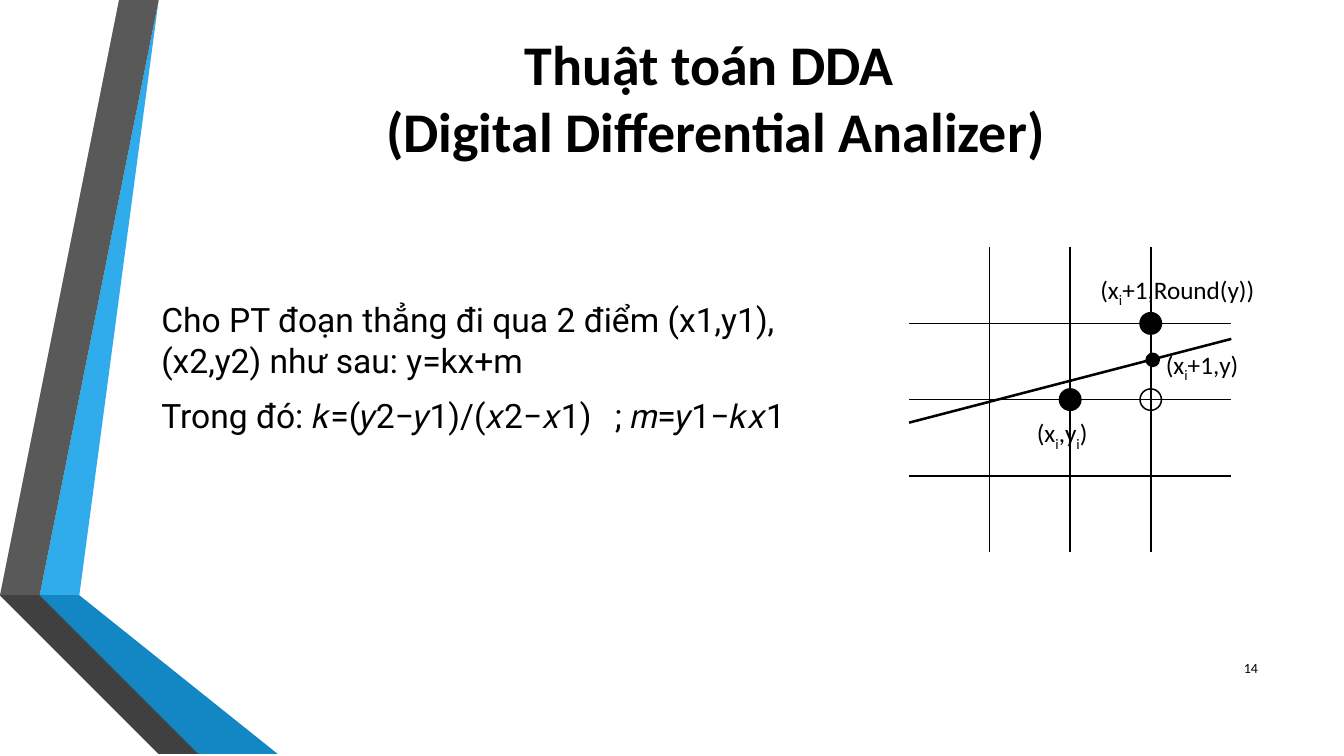
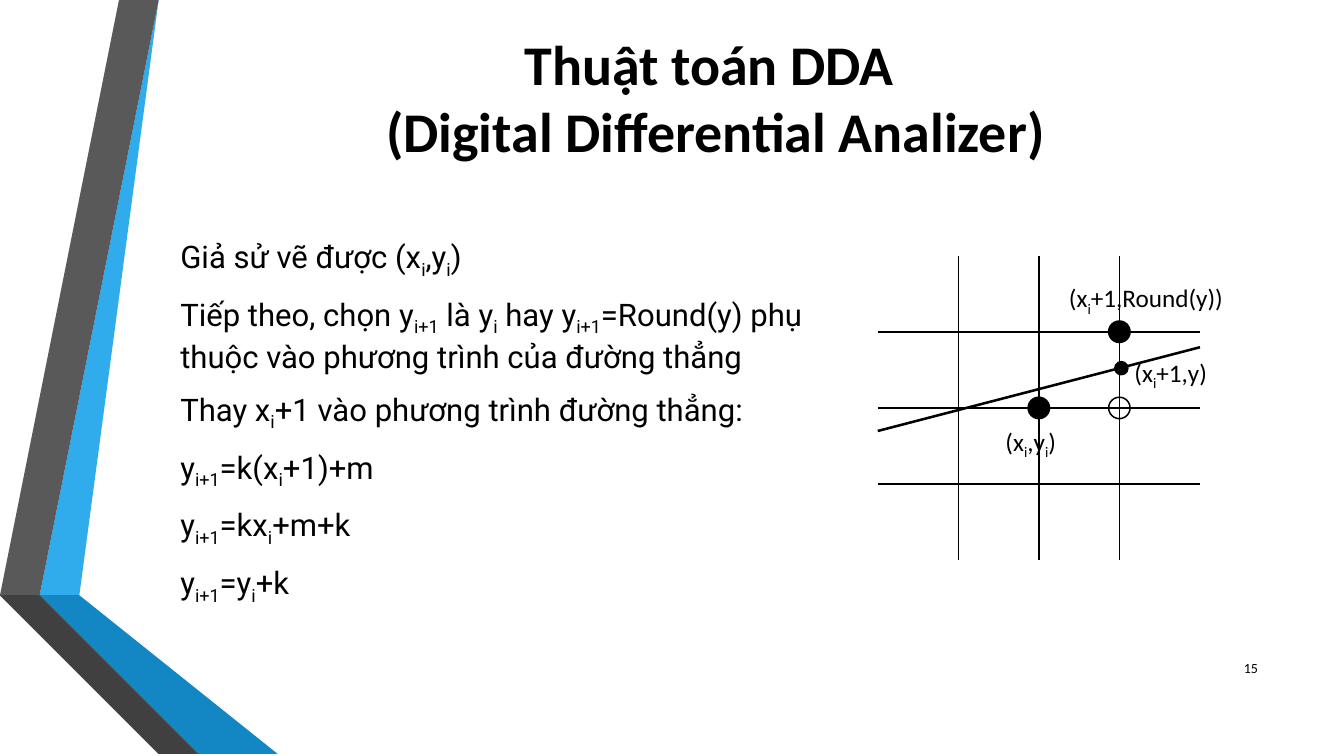
from lxml import etree
from pptx import Presentation
from pptx import util as u
from pptx.dml.color import RGBColor
from pptx.enum import shapes, text
from pptx.oxml.ns import qn

BLACK = "000000"
TITLE = "Thuật toán DDA \v(Digital Differential Analizer)"
FIRST_NUMBER = 14

# Ribbon outlines in centimetres, from back to front
RIBBON = [
    ("30ACEC", [(1.27, 14.68), (1.96, 14.81), (4.39, 0), (3.68, 0)]),
    ("595959", [(3.53, 0), (2.82, 0), (0.41, 14.55), (1.12, 14.66)]),
    ("262626", [(0.41, 14.55), (3.68, 19.05), (3.84, 19.05)]),
    ("0C5A82", [(1.27, 14.71), (5.28, 19.05), (5.44, 19.05)]),
    ("1287C3", [(1.27, 14.71), (5.44, 19.05), (7.19, 19.05), (1.96, 14.81), (1.27, 14.68)]),
    ("404040", [(5.13, 19.05), (1.22, 14.81), (1.1, 14.67), (0.41, 14.55), (3.84, 19.05)]),
]

# Subscripts stand between bars
SLIDES = [
    {
        "body": (3.81, 7.41, 24, [
            "Cho PT đoạn thẳng đi qua 2 điểm (x1,y1), (x2,y2) như sau: y=kx+m",
            "Trong đó:\t𝑘=(𝑦2−𝑦1)/(𝑥2−𝑥1)\t; 𝑚=𝑦1−𝑘𝑥1",
        ]),
        "tabs": (3.81, 11.26),
        "grid": (22.91, 6.23),
    },
    {
        "body": (4.29, 5.85, 22.2, [
            "Giả sử vẽ được (x|i|,y|i|)",
            "Tiếp theo, chọn y|i+1| là y|i| hay y|i+1|=Round(y) phụ thuộc vào phương trình của đường thẳng",
            "Thay x|i|+1 vào phương trình đường thẳng:",
            "y|i+1|=k(x|i|+1)+m",
            "y|i+1|=kx|i|+m+k",
            "y|i+1|=y|i|+k",
        ]),
        "tabs": (),
        "grid": (22.12, 6.44),
    },
]


def color(value):
    return RGBColor.from_string(value)


class Deck:
    """Holds the presentation, its style and the current slide."""

    heading_font = "Calibri"
    body_font = "Roboto"

    def __init__(self):
        self.presentation = Presentation()
        self.presentation.slide_width = u.Cm(33.87)
        self.presentation.slide_height = u.Cm(19.05)
        self.layout = self.presentation.slide_layouts[1]
        for placeholder in list(self.layout.placeholders):
            if placeholder.placeholder_format.idx >= 10:
                self.layout.shapes.element.remove(placeholder.element)
        self.slide = None

    def add_slide(self):
        self.slide = self.presentation.slides.add_slide(self.layout)
        if len(self.presentation.slides) == 1:
            self.add_ribbon()

    def add_ribbon(self):
        """Draw the ribbon and move it to the layout, so every slide shows it."""
        group = self.slide.shapes.add_group_shape()
        for fill, points in RIBBON:
            builder = group.shapes.build_freeform(*points[0], scale=u.Cm(1))
            builder.add_line_segments(points[1:], close=True)
            band = builder.convert_to_shape()
            band.shadow.inherit = False
            band.fill.solid()
            band.fill.fore_color.rgb = color(fill)
            band.line.fill.background()
        self.layout.shapes.element.insert(2, group.element)

    def place(self, shape, left, top, width, height):
        shape.left, shape.top = u.Cm(left), u.Cm(top)
        shape.width, shape.height = u.Cm(width), u.Cm(height)

    def add_text(self, paragraph, content, size, font):
        """Fill a paragraph; the parts between bars become subscripts."""
        for index, part in enumerate(content.split("|")):
            run = paragraph.add_run()
            run.text = part
            if index % 2:
                run._r.get_or_add_rPr().set("baseline", "-25000")
        self.style(paragraph, size, font)

    def style(self, paragraph, size, font, bold=False):
        paragraph.font.name = font
        paragraph.font.size = u.Pt(size)
        paragraph.font.bold = bold
        paragraph.font.color.rgb = color(BLACK)

    def add_title(self, content):
        title = self.slide.shapes.title
        self.place(title, 4.11, 0, 27.84, 4.88)
        frame = title.text_frame
        frame.text = content
        frame.word_wrap = True
        frame.auto_size = text.MSO_AUTO_SIZE.NONE
        frame.vertical_anchor = text.MSO_ANCHOR.MIDDLE
        paragraph = frame.paragraphs[0]
        paragraph.alignment = text.PP_ALIGN.CENTER
        self.style(paragraph, 40, self.heading_font, bold=True)

    def add_body(self, left, top, size, lines, tabs):
        body = self.slide.placeholders[1]
        self.place(body, left, top, 18, 10)
        frame = body.text_frame
        frame.word_wrap = True
        frame.auto_size = text.MSO_AUTO_SIZE.NONE
        frame.vertical_anchor = text.MSO_ANCHOR.TOP
        for index, line in enumerate(lines):
            paragraph = frame.add_paragraph() if index else frame.paragraphs[0]
            paragraph.space_before = u.Pt(5 if index else 0)
            paragraph.space_after = u.Pt(6)
            self.remove_bullet(paragraph, tabs)
            self.add_text(paragraph, line, size, self.body_font)

    def remove_bullet(self, paragraph, tabs):
        """Drop bullet and indent, and set left tab stops in centimetres."""
        properties = paragraph._p.get_or_add_pPr()
        properties.set("marL", "0")
        properties.set("indent", "0")
        etree.SubElement(properties, qn("a:buNone"))
        if tabs:
            stops = etree.SubElement(properties, qn("a:tabLst"))
            for position in tabs:
                etree.SubElement(stops, qn("a:tab"), pos=str(int(u.Cm(position))), algn="l")

    def add_number(self, number):
        box = self.slide.shapes.add_textbox(u.Cm(30.43), u.Cm(16.31), u.Cm(1.52), u.Cm(1.02))
        frame = box.text_frame
        frame.word_wrap = True
        frame.vertical_anchor = text.MSO_ANCHOR.MIDDLE
        frame.paragraphs[0].alignment = text.PP_ALIGN.RIGHT
        self.add_text(frame.paragraphs[0], str(number), 10, self.heading_font)

    def add_line(self, group, start, end, weight=1.08):
        line = group.shapes.add_connector(
            shapes.MSO_CONNECTOR.STRAIGHT, *map(u.Cm, start + end))
        line.line.color.rgb = color(BLACK)
        line.line.width = u.Pt(weight)
        etree.SubElement(line.element.spPr, qn("a:effectLst"))

    def add_dot(self, group, x, y, diameter, filled=True):
        """Draw a circle around the centre x, y."""
        dot = group.shapes.add_shape(
            shapes.MSO_SHAPE.OVAL, u.Cm(x - diameter / 2), u.Cm(y - diameter / 2),
            u.Cm(diameter), u.Cm(diameter))
        dot.shadow.inherit = False
        if filled:
            dot.fill.solid()
            dot.fill.fore_color.rgb = color(BLACK)
        else:
            dot.fill.background()
        dot.line.color.rgb = color(BLACK)
        dot.line.width = u.Pt(1.08)

    def add_label(self, group, x, y, width, content):
        box = group.shapes.add_textbox(u.Cm(x), u.Cm(y), u.Cm(width), u.Cm(1.02))
        box.text_frame.word_wrap = False
        box.text_frame.auto_size = text.MSO_AUTO_SIZE.SHAPE_TO_FIT_TEXT
        self.add_text(box.text_frame.paragraphs[0], content, 18, self.heading_font)

    def add_pixel_grid(self, left, top):
        """Draw the pixel grid with the exact line and the candidate pixels."""
        column_gap, row_gap = 2.03, 1.92
        right, bottom = left + 4 * column_gap, top + 4 * row_gap
        columns = [left + column_gap * step for step in (1, 2, 3)]
        rows = [top + row_gap * step for step in (1, 2, 3)]
        group = self.slide.shapes.add_group_shape()
        for x in columns:
            self.add_line(group, (x, top), (x, bottom))
        for y in rows:
            self.add_line(group, (left, y), (right, y))
        line_start, line_end = top + 4.42, top + 2.31
        self.add_line(group, (left, line_start), (right, line_end), 1.8)

        self.add_dot(group, columns[1], rows[1], 0.54)
        self.add_dot(group, columns[2], rows[0], 0.54)
        self.add_dot(group, columns[2], rows[1], 0.54, filled=False)
        exact_y = line_start + (line_end - line_start) * 3 / 4
        self.add_dot(group, columns[2] + 0.05, exact_y, 0.33)

        self.add_label(group, left + 4.57, top + 0.56, 4.5, "(x|i|+1,Round(y))")
        self.add_label(group, left + 6.22, top + 2.44, 2.36, "(x|i|+1,y)")
        self.add_label(group, left + 2.97, top + 4.17, 1.83, "(x|i|,y|i|)")


def main():
    deck = Deck()
    for number, content in enumerate(SLIDES, FIRST_NUMBER):
        deck.add_slide()
        deck.add_title(TITLE)
        deck.add_body(*content["body"], content["tabs"])
        deck.add_number(number)
        deck.add_pixel_grid(*content["grid"])
    deck.presentation.save("out.pptx")


if __name__ == "__main__":
    main()
